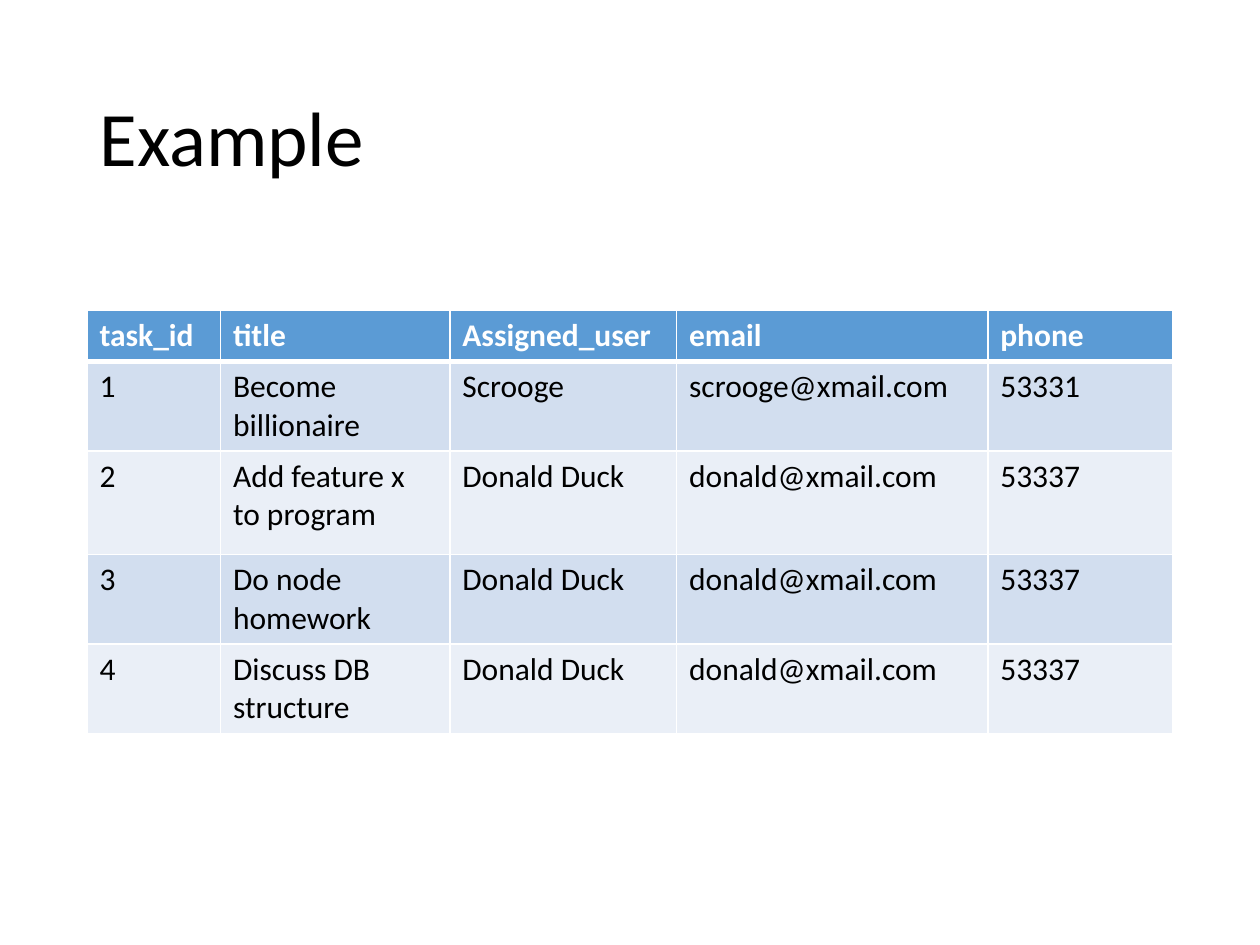
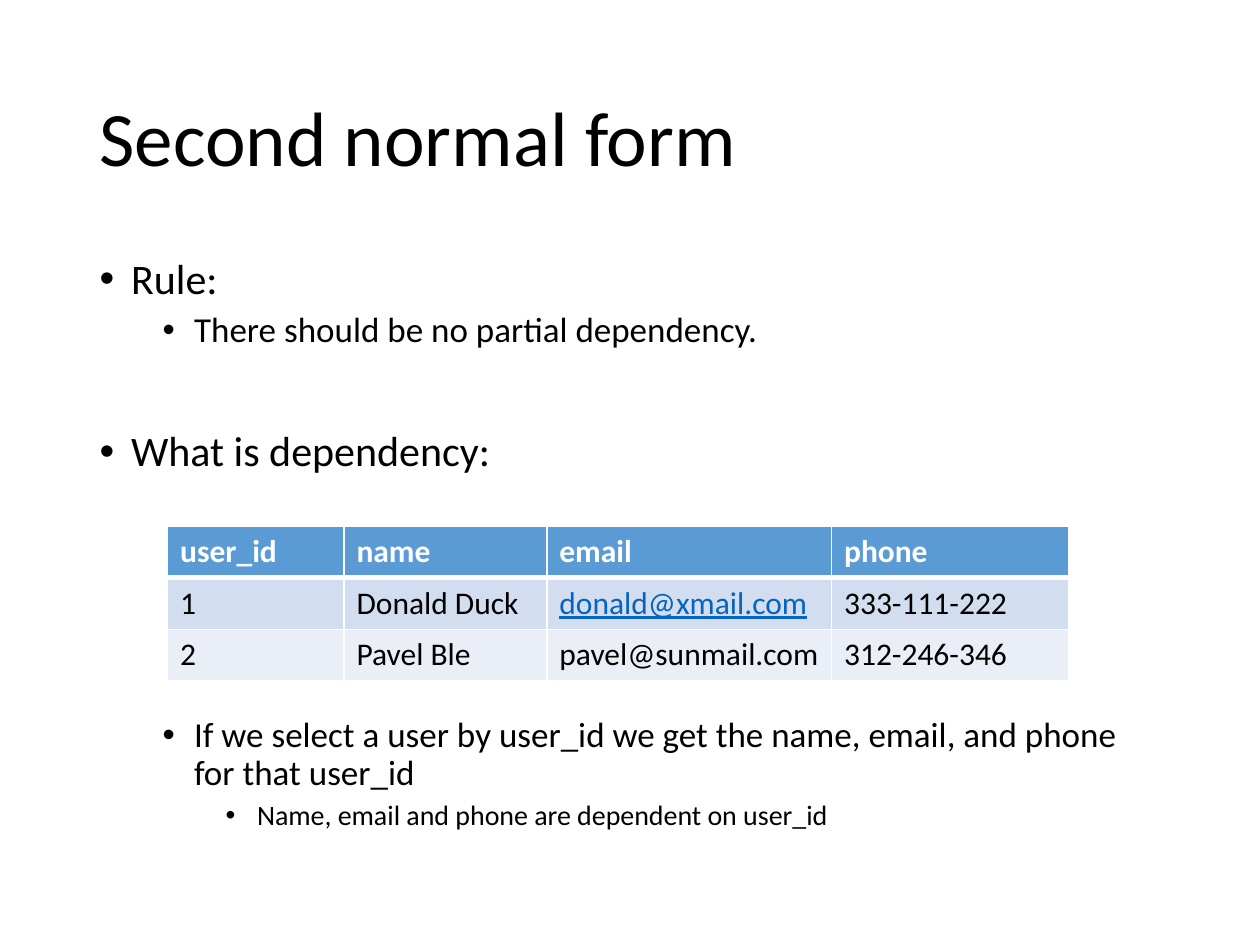
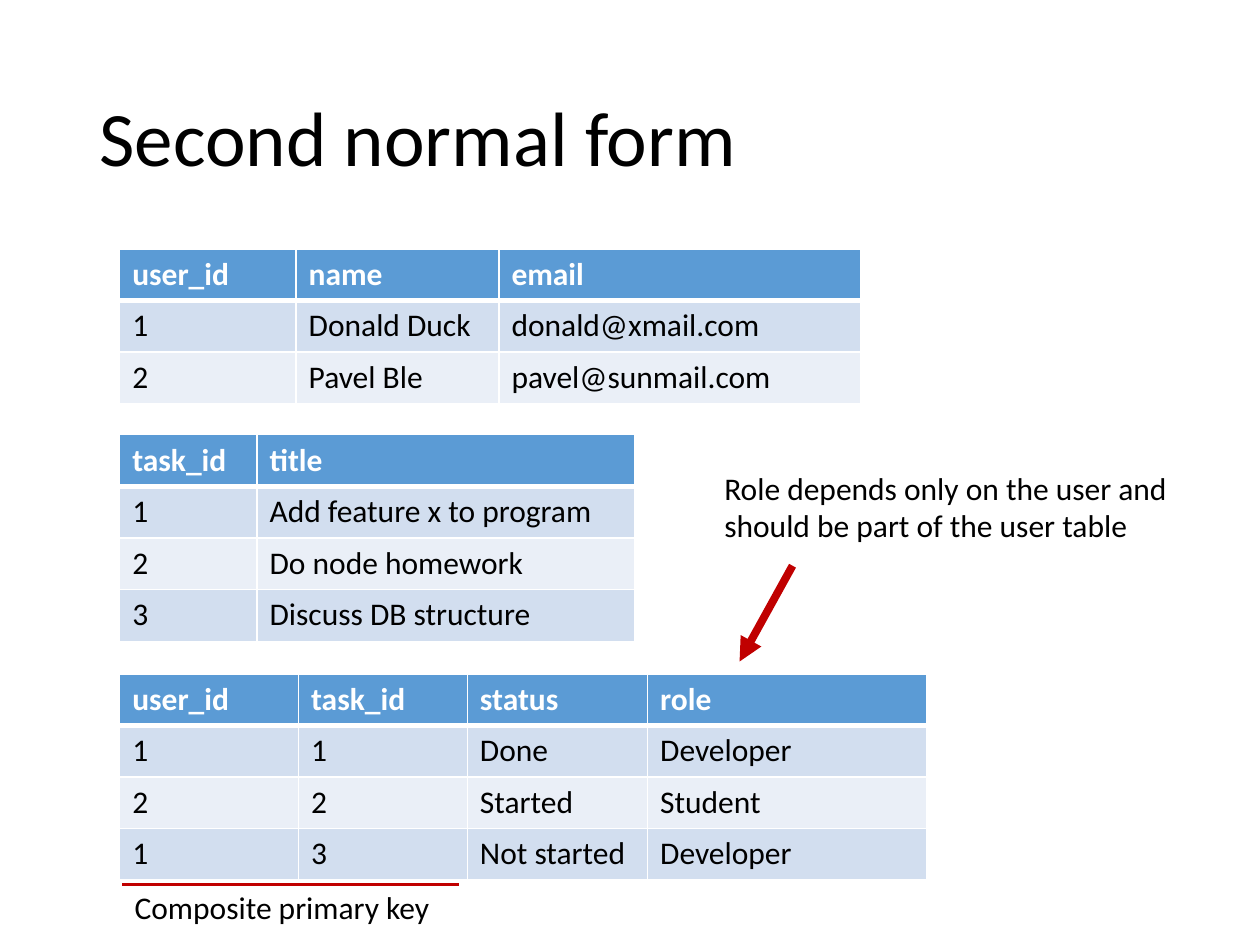
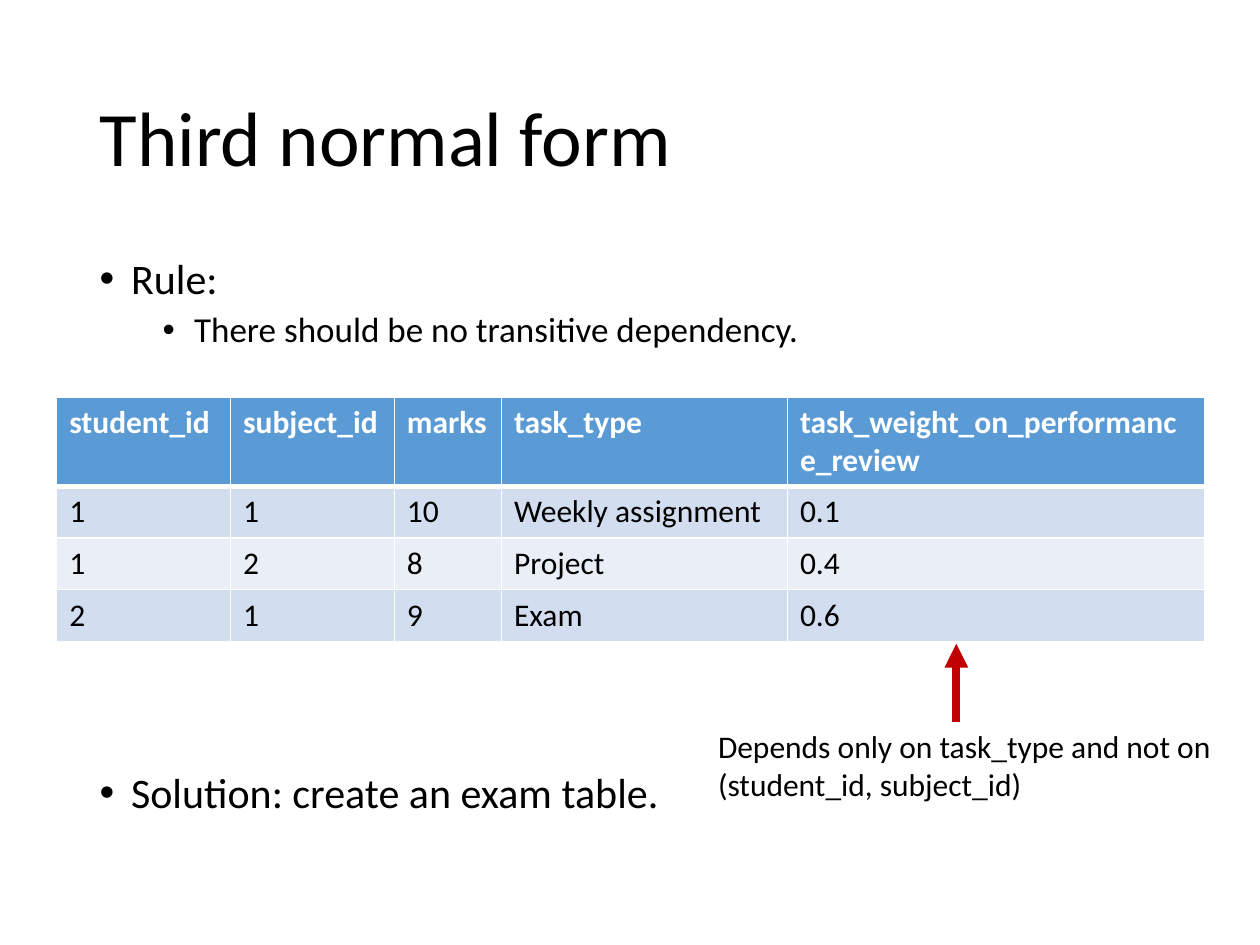
import pptx
import pptx.util
import pptx.dml.color
import pptx.enum.shapes
import pptx.enum.text
import pptx.oxml
import pptx.oxml.ns

Inches = pptx.util.Inches
Pt = pptx.util.Pt
RGBColor = pptx.dml.color.RGBColor

BLACK = RGBColor(0x00, 0x00, 0x00)
WHITE = RGBColor(0xFF, 0xFF, 0xFF)
BLUE = RGBColor(0x5B, 0x9B, 0xD5)
BANDS = [RGBColor(0xD2, 0xDE, 0xEF), RGBColor(0xEA, 0xEF, 0xF7)]
LINK = RGBColor(0x05, 0x63, 0xC1)
RED = RGBColor(0xC0, 0x00, 0x00)
FONT = "Calibri"

# Left edge and width shared by the title and the list, in inches
LEFT, WIDTH = 0.69, 8.62

# Text size, space before and left indent of each list level
LEVELS = [(24, 10, 0.25), (20, 5, 0.75), (16, 5, 1.25)]
HANG = 0.25
LEADING = 0.9

# Row height and border widths of a table
ROW = 0.41
THIN, THICK = Pt(1), Pt(3)

# Data that several slides show
DONALD = ("Donald Duck", "donald@xmail.com")
TASKS = ["Add feature x to program", "Do node homework", "Discuss DB structure"]
USERS = [
    ("user_id", "name", "email", "phone"),
    ("1", *DONALD, "333-111-222"),
    ("2", "Pavel Ble", "pavel@sunmail.com", "312-246-346"),
]


def write(para, text, size=18, color=BLACK, bold=False, line=False):
    run = para.add_run()
    run.text = text
    font = run.font
    font.name, font.size, font.bold, font.underline = FONT, Pt(size), bold, line
    font.color.rgb = color


def add_node(parent, tag, inner="", **attrs):
    """Append one drawing element, such as a:buChar, to the parent."""
    pairs = "".join(f' {key}="{value}"' for key, value in attrs.items())
    space = pptx.oxml.ns.nsdecls("a")
    parent.append(pptx.oxml.parse_xml(f"<a:{tag} {space}{pairs}>{inner}</a:{tag}>"))


def edge(cell, row):
    """Border a cell in white, thick between the header and the first row."""
    fill = f'<a:solidFill><a:srgbClr val="{WHITE}"/></a:solidFill>'
    top = THICK if row == 1 else THIN
    base = THICK if row == 0 else THIN
    props = cell._tc.get_or_add_tcPr()
    for side, width in zip("LRTB", (THIN, THIN, top, base)):
        add_node(props, f"ln{side}", fill, w=width)


class Deck:
    def __init__(self):
        self.file = pptx.Presentation()
        self.file.slide_width = Inches(10)
        self.file.slide_height = Inches(7.5)
        self.slide = None

    def start(self, title, body=False):
        """Add a slide with a title, and with a list if body is set."""
        layout = self.file.slide_layouts[1 if body else 5]
        self.slide = self.file.slides.add_slide(layout)
        self.slide.background.fill.solid()
        self.slide.background.fill.fore_color.rgb = WHITE
        frame = self.place(self.slide.shapes.title, LEFT, 0.4, WIDTH, 1.45)
        frame.vertical_anchor = pptx.enum.text.MSO_ANCHOR.MIDDLE
        para = frame.paragraphs[0]
        para.alignment = pptx.enum.text.PP_ALIGN.LEFT
        para.line_spacing = LEADING
        write(para, title, size=44)

    def place(self, shape, left, top, width, height):
        """Move a shape and return its text frame, set to wrap."""
        shape.left, shape.top = Inches(left), Inches(top)
        shape.width, shape.height = Inches(width), Inches(height)
        frame = shape.text_frame
        frame.word_wrap = True
        frame.auto_size = pptx.enum.text.MSO_AUTO_SIZE.NONE
        return frame

    def points(self, height, items):
        """Fill the list; an item is level, text and extra space before."""
        frame = self.place(self.slide.placeholders[1], LEFT, 2, WIDTH, height)
        for index, (level, text, extra) in enumerate(items):
            para = frame.add_paragraph() if index else frame.paragraphs[0]
            size, gap, indent = LEVELS[level]
            para.level = level
            para.line_spacing = LEADING
            para.space_before = Pt(gap + extra)
            props = para._p.get_or_add_pPr()
            props.set("marL", str(Inches(indent)))
            props.set("indent", str(-Inches(HANG)))
            add_node(props, "buFont", typeface="Arial")
            add_node(props, "buChar", char="•")
            write(para, text, size=size)

    def table(self, left, top, widths, rows, head=0.36, tall=None, links=()):
        """Draw a banded table; tall maps a row to its height."""
        heights = [head] + [ROW] * (len(rows) - 1)
        for index, height in (tall or {}).items():
            heights[index] = height
        grid = self.slide.shapes.add_table(
            len(rows), len(widths), Inches(left), Inches(top),
            Inches(sum(widths)), Inches(sum(heights))).table
        for col, width in zip(grid.columns, widths):
            col.width = Inches(width)
        for r, (row, height) in enumerate(zip(rows, heights)):
            grid.rows[r].height = Inches(height)
            for c, text in enumerate(row):
                self.fill(grid.cell(r, c), r, text, link=(r, c) in links)

    def fill(self, cell, row, text, link):
        """Style one table cell by its row and write its text."""
        header = row == 0
        edge(cell, row)
        cell.fill.solid()
        cell.fill.fore_color.rgb = BLUE if header else BANDS[(row - 1) % 2]
        color = WHITE if header else LINK if link else BLACK
        write(cell.text_frame.paragraphs[0], text,
              color=color, bold=header, line=link)

    def note(self, text, left, top, width, height):
        box = self.slide.shapes.add_textbox(0, 0, 0, 0)
        frame = self.place(box, left, top, width, height)
        write(frame.paragraphs[0], text)

    def line(self, start, end, width=4.5, arrow=True):
        kind = pptx.enum.shapes.MSO_CONNECTOR.STRAIGHT
        line = self.slide.shapes.add_connector(kind, *map(Inches, start + end))
        line.line.color.rgb = RED
        line.line.width = Pt(width)
        if arrow:
            add_node(line.line._get_or_add_ln(), "tailEnd", type="triangle")
        add_node(line._element.spPr, "effectLst")


def show_tasks(deck):
    deck.start("Example")
    rows = [
        ("task_id", "title", "Assigned_user", "email", "phone"),
        ("1", "Become billionaire", "Scrooge", "scrooge@xmail.com", "53331"),
    ]
    for number, task in enumerate(TASKS, 2):
        rows.append((str(number), task, *DONALD, "53337"))
    deck.table(LEFT, 2.46, [1.06, 1.82, 1.8, 2.47, 1.47], rows,
               head=ROW, tall={2: 2 * ROW})


def show_second(deck):
    deck.start("Second normal form", body=True)
    table_gap = 133
    deck.points(5.1, [
        (0, "Rule:", 0),
        (1, "There should be no partial dependency.", 0),
        (0, "What is dependency:", 36),
        (1, "If we select a user by user_id we get the name, email, "
            "and phone for that user_id", table_gap),
        (2, "Name, email and phone are dependent on user_id", 0),
    ])
    deck.table(1.33, 4.18, [1.4, 1.61, 2.26, 1.88], USERS, links=[(1, 2)])


def show_keys(deck):
    deck.start("Second normal form")
    deck.note("Composite primary key", 0.97, 7, 4.58, 0.4)

    left = 0.95
    people = [row[:3] for row in USERS]
    tasks = [("task_id", "title")]
    tasks += [(str(number), task) for number, task in enumerate(TASKS, 1)]
    roles = [
        ("user_id", "task_id", "status", "role"),
        ("1", "1", "Done", "Developer"),
        ("2", "2", "Started", "Student"),
        ("1", "3", "Not started", "Developer"),
    ]
    deck.table(left, 1.98, [1.4, 1.61, 2.87], people)
    deck.table(left, 3.45, [1.09, 3], tasks, head=ROW)
    deck.table(left, 5.35, [1.42, 1.34, 1.43, 2.22], roles)

    deck.line((6.29, 4.49), (5.87, 5.25))
    deck.note("Role depends only on the user and should be part of the user table",
              5.65, 3.67, 4.35, 0.71)
    deck.line((0.97, 7.02), (3.64, 7.02), width=2.25, arrow=False)


def show_third(deck):
    deck.start("Third normal form", body=True)
    table_gap = 231
    deck.points(4.76, [
        (0, "Rule:", 0),
        (1, "There should be no transitive dependency.", 0),
        (0, "Solution: create an exam table.", table_gap),
    ])
    deck.table(0.45, 3.15, [1.38, 1.3, 0.85, 2.27, 3.31], [
        ("student_id", "subject_id", "marks", "task_type",
         "task_weight_on_performance_review"),
        ("1", "1", "10", "Weekly assignment", "0.1"),
        ("1", "2", "8", "Project", "0.4"),
        ("2", "1", "9", "Exam", "0.6"),
    ])
    deck.line((7.59, 5.73), (7.59, 5.11))
    deck.note("Depends only on task_type and not on (student_id, subject_id)",
              5.6, 5.72, 5.15, 0.71)


def main():
    deck = Deck()
    for show in (show_tasks, show_second, show_keys, show_third):
        show(deck)
    deck.file.save("out.pptx")


if __name__ == "__main__":
    main()
